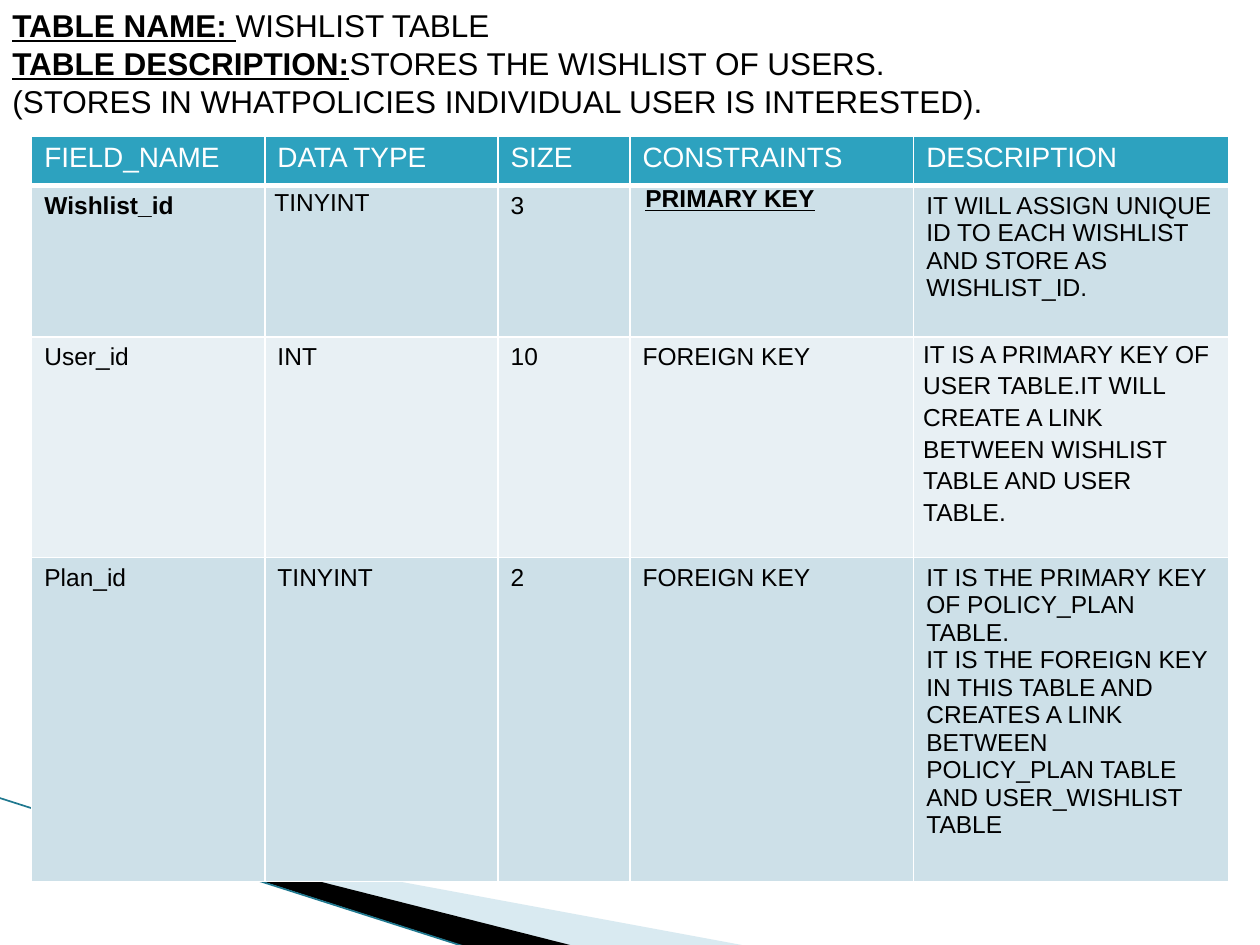
from dataclasses import dataclass

from lxml.etree import SubElement
from pptx import Presentation
from pptx.dml.color import RGBColor
from pptx.enum.shapes import MSO_CONNECTOR as Connector
from pptx.oxml.ns import qn
from pptx.slide import Slide
from pptx.table import _Cell as Cell
from pptx.util import Cm, Pt

FONT = "Arial"
BLACK = RGBColor(0x00, 0x00, 0x00)
WHITE = RGBColor(0xFF, 0xFF, 0xFF)
HEADER_TEAL = RGBColor(0x2D, 0xA2, 0xBF)
LINE_TEAL = RGBColor(0x1F, 0x78, 0x8F)
WEDGE_BLUE = RGBColor(0xA0, 0xCB, 0xDC)
BANDS = (RGBColor(0xCD, 0xE0, 0xE8), RGBColor(0xE8, 0xF0, 0xF4))


@dataclass(frozen=True)
class Span:
    text: str
    bold: bool = False
    underline: bool = False


@dataclass(frozen=True)
class Entry:
    """Content of one table cell; side is a left and right inset in cm."""
    paragraphs: tuple[Span, ...]
    side: float | None = None
    spacing: float | None = None


@dataclass(frozen=True)
class Wedge:
    """A corner stripe; its outline may reach beyond its frame, both in cm."""
    frame: tuple[float, float, float, float]
    points: tuple[tuple[float, float], ...]
    color: RGBColor
    opacity: int = 100


def plain(*texts: str) -> Entry:
    return Entry(tuple(Span(text) for text in texts))


WEDGES = (
    Wedge((1.98, 13.89, 10.57, 4.01),
          ((1.4, 16.54), (15.11, 19.08), (11.58, 19.08), (1.4, 16.51)), WEDGE_BLUE, 40),
    Wedge((-0.15, 16.08, 10.57, 2.34),
          ((1.35, 16.48), (11.61, 19.08), (9.45, 19.1), (1.37, 16.51)), BLACK),
)
TITLE = (
    (Span("TABLE NAME: ", True, True), Span("WISHLIST TABLE")),
    (Span("TABLE DESCRIPTION:", True, True), Span("STORES THE WISHLIST OF USERS.")),
    (Span("(STORES IN WHATPOLICIES INDIVIDUAL USER IS INTERESTED)."),),
)
COLUMN_WIDTHS = (4.7, 4.7, 2.66, 5.72, 6.35)
ROW_HEIGHTS = (0.99, 3.05, 4.45, 6.53)
FIELDS = (
    tuple(plain(name) for name in
          ("FIELD_NAME", "DATA TYPE", "SIZE", "CONSTRAINTS", "DESCRIPTION")),
    (
        Entry((Span("Wishlist_id", True),)),
        Entry((Span("TINYINT"),), 0.19, 1.15),
        plain("3"),
        Entry((Span("PRIMARY KEY", True, True),), 0.31),
        plain("IT WILL ASSIGN UNIQUE ID TO EACH WISHLIST AND STORE AS WISHLIST_ID."),
    ),
    (
        plain("User_id"),
        plain("INT"),
        plain("10"),
        plain("FOREIGN KEY"),
        Entry((Span("IT IS A PRIMARY KEY OF USER TABLE.IT WILL CREATE A LINK "
                    "BETWEEN WISHLIST TABLE AND USER TABLE."),), 0.19, 1.15),
    ),
    (
        plain("Plan_id"),
        plain("TINYINT"),
        plain("2"),
        plain("FOREIGN KEY"),
        plain("IT IS THE PRIMARY KEY OF POLICY_PLAN TABLE.",
              "IT IS THE FOREIGN KEY IN THIS TABLE AND CREATES A LINK BETWEEN "
              "POLICY_PLAN TABLE AND USER_WISHLIST TABLE"),
    ),
)


def add_span(para, span: Span, size: int, color: RGBColor) -> None:
    run = para.add_run()
    run.text = span.text
    font = run.font
    font.name, font.size, font.bold = FONT, Pt(size), span.bold
    font.underline = span.underline
    font.color.rgb = color


def paragraph_at(frame, index: int):
    return frame.paragraphs[0] if index == 0 else frame.add_paragraph()


def set_frame(shape, frame: tuple[float, float, float, float]) -> None:
    """Give a freeform another frame while its outline stays in place."""
    left, top, width, height = (Cm(length) for length in frame)
    for point in shape._element.iter(qn("a:pt")):
        point.set("x", str(int(point.get("x")) + shape.left - left))
        point.set("y", str(int(point.get("y")) + shape.top - top))
    outline = next(shape._element.iter(qn("a:path")))
    outline.set("w", str(width))
    outline.set("h", str(height))
    shape.left, shape.top, shape.width, shape.height = left, top, width, height


def draw_wedge(page: Slide, wedge: Wedge) -> None:
    start, *others = [(Cm(x), Cm(y)) for x, y in wedge.points]
    builder = page.shapes.build_freeform(*start)
    builder.add_line_segments(others, close=True)
    shape = builder.convert_to_shape()
    set_frame(shape, wedge.frame)
    shape.shadow.inherit = False
    shape.line.fill.background()
    shape.fill.solid()
    shape.fill.fore_color.rgb = wedge.color
    if wedge.opacity < 100:
        tint = shape.fill._xPr.find(f"{qn('a:solidFill')}/{qn('a:srgbClr')}")
        SubElement(tint, qn("a:alpha"), val=str(wedge.opacity * 1000))


def draw_edge(page: Slide) -> None:
    edge = page.shapes.add_connector(
        Connector.STRAIGHT, Cm(-0.03), Cm(16.08), Cm(9.42), Cm(19.1))
    edge.line.color.rgb = LINE_TEAL
    edge.line.width = Pt(0.95)
    SubElement(edge._element.spPr, qn("a:effectLst"))


def set_borders(cell: Cell, top: float, bottom: float) -> None:
    """Draw white borders; call before the fill, which must follow them."""
    properties = cell._tc.get_or_add_tcPr()
    for side, width in (("L", 1), ("R", 1), ("T", top), ("B", bottom)):
        border = SubElement(properties, qn(f"a:ln{side}"), w=str(Pt(width)))
        SubElement(SubElement(border, qn("a:solidFill")), qn("a:srgbClr"), val=str(WHITE))


def fill_cell(cell: Cell, entry: Entry, row: int) -> None:
    header = row == 0
    set_borders(cell, top=3 if row == 1 else 1, bottom=3 if header else 1)
    cell.fill.solid()
    cell.fill.fore_color.rgb = HEADER_TEAL if header else BANDS[(row - 1) % 2]
    if entry.side is not None:
        cell.margin_left = cell.margin_right = Cm(entry.side)
        cell.margin_top = cell.margin_bottom = Cm(0)
    for index, span in enumerate(entry.paragraphs):
        para = paragraph_at(cell.text_frame, index)
        if entry.spacing:
            para.line_spacing = entry.spacing
        add_span(para, span, 16 if header else 14, WHITE if header else BLACK)


def draw_fields(page: Slide) -> None:
    table = page.shapes.add_table(
        len(ROW_HEIGHTS), len(COLUMN_WIDTHS), Cm(0.64), Cm(2.75),
        Cm(sum(COLUMN_WIDTHS)), Cm(sum(ROW_HEIGHTS))).table
    table.horz_banding = False
    for column, width in zip(table.columns, COLUMN_WIDTHS):
        column.width = Cm(width)
    for number, (row, height) in enumerate(zip(table.rows, ROW_HEIGHTS)):
        row.height = Cm(height)
        for cell, entry in zip(row.cells, FIELDS[number]):
            fill_cell(cell, entry, number)


def draw_title(page: Slide) -> None:
    box = page.shapes.add_textbox(Cm(0), Cm(0), Cm(25.4), Cm(3.94))
    box.text_frame.word_wrap = True
    for index, spans in enumerate(TITLE):
        para = paragraph_at(box.text_frame, index)
        for span in spans:
            add_span(para, span, 18, BLACK)


def main() -> None:
    deck = Presentation()
    deck.slide_width, deck.slide_height = Cm(25.4), Cm(19.05)
    page = deck.slides.add_slide(deck.slide_layouts[6])
    for wedge in WEDGES:
        draw_wedge(page, wedge)
    draw_edge(page)
    draw_fields(page)
    draw_title(page)
    deck.save("out.pptx")


if __name__ == "__main__":
    main()
